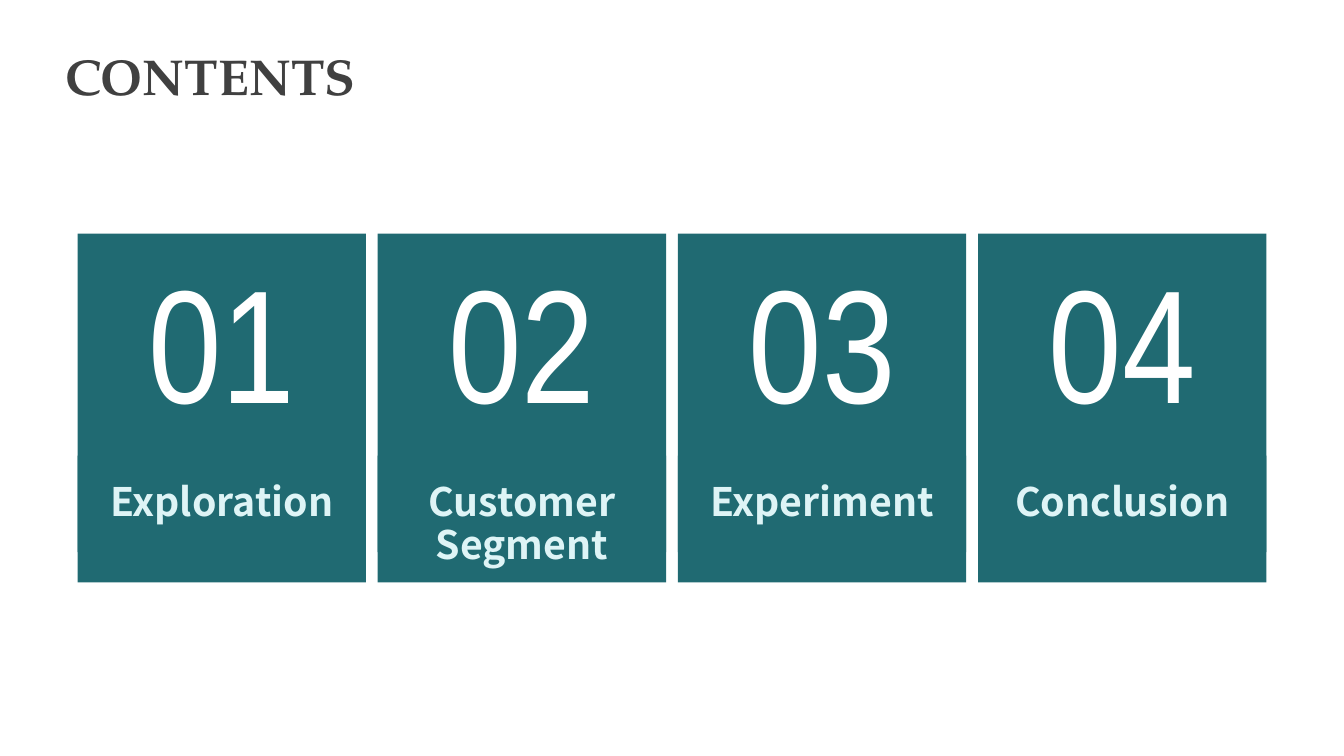
from typing import NamedTuple

from pptx import Presentation
from pptx.dml.color import RGBColor as Rgb
from pptx.enum.shapes import MSO_SHAPE as Kind
from pptx.enum.text import MSO_ANCHOR as Anchor
from pptx.enum.text import MSO_AUTO_SIZE as Fit
from pptx.enum.text import PP_ALIGN as Align
from pptx.shapes.autoshape import Shape
from pptx.shapes.shapetree import GroupShapes, SlideShapes
from pptx.util import Pt

HUES = {"teal": "206A72", "white": "FFFFFF", "pale": "DEF4F6", "dark": "404040"}


class Box(NamedTuple):
    left: float
    top: float
    width: float
    height: float


class Style(NamedTuple):
    font: str
    size: float
    hue: str
    bold: bool
    align: Align
    space: float
    wrap: bool


class Card(NamedTuple):
    label: str
    span: float
    tall: float


TITLE = Style("TeX Gyre Pagella", 36, "dark", True, Align.LEFT, 1.0, True)
NUMBER = Style("Arial Narrow", 115, "white", False, Align.CENTER, 1.0, False)
LABEL = Style("Noto Sans CJK SC", 28, "pale", True, Align.CENTER, 0.9, True)

CARDS = [
    Card("Exploration", 121, 37.4),
    Card("Customer Segment", 135.4, 68.4),
    Card("Experiment", 138.2, 37.4),
    Card("Conclusion", 134.6, 37.4),
]
LEFT, TOP, WIDTH, HEIGHT = 55.4, 167, 206, 249
STEP = 214.4
INSET = 2.4


def place(box: Box) -> tuple[Pt, ...]:
    return tuple(Pt(side) for side in box)


def write(shape: Shape, text: str, style: Style, anchor: Anchor) -> None:
    frame = shape.text_frame
    frame.word_wrap = style.wrap
    frame.auto_size = Fit.SHAPE_TO_FIT_TEXT
    frame.vertical_anchor = anchor
    para = frame.paragraphs[0]
    para.alignment = style.align
    para.line_spacing = style.space
    run = para.add_run()
    run.text = text
    font = run.font
    font.name = style.font
    font.size = Pt(style.size)
    font.bold = style.bold
    font.color.rgb = Rgb.from_string(HUES[style.hue])


def panel(shapes: GroupShapes, box: Box) -> Shape:
    shape = shapes.add_shape(Kind.RECTANGLE, *place(box))
    shape.shadow.inherit = False
    shape.fill.solid()
    shape.fill.fore_color.rgb = Rgb.from_string(HUES["teal"])
    shape.line.fill.background()
    return shape


def draw(shapes: SlideShapes, index: int, card: Card) -> None:
    group = shapes.add_group_shape().shapes
    left = LEFT + index * STEP
    panel(group, Box(left, TOP, WIDTH, HEIGHT))
    panel(group, Box(left, 325.4, WIDTH, 69))
    middle = left + WIDTH / 2
    number = panel(group, Box(middle - card.span / 2, 168.5, card.span, 147))
    write(number, f"{index + 1:02}", NUMBER, Anchor.MIDDLE)
    label = panel(group, Box(left + INSET, 341.3, WIDTH - 2 * INSET, card.tall))
    write(label, card.label, LABEL, Anchor.TOP)


def main() -> None:
    deck = Presentation()
    deck.slide_width, deck.slide_height = Pt(960), Pt(540)
    shapes = deck.slides.add_slide(deck.slide_layouts[6]).shapes
    for index, card in enumerate(CARDS):
        draw(shapes, index, card)
    title = shapes.add_textbox(*place(Box(39.6, 28.8, 229.7, 51)))
    write(title, "CONTENTS", TITLE, Anchor.TOP)
    deck.save("out.pptx")


if __name__ == "__main__":
    main()
